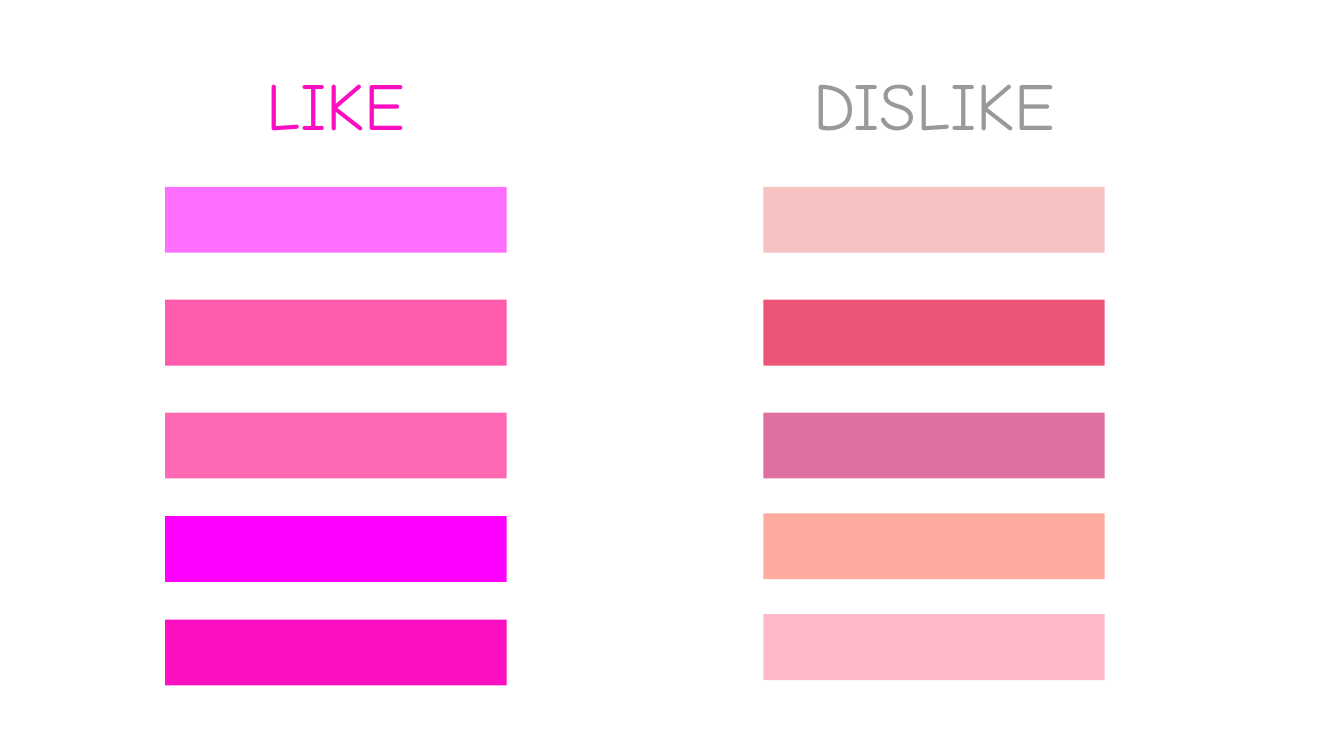
from pptx import Presentation
from pptx.dml.color import RGBColor
from pptx.enum.shapes import MSO_SHAPE
from pptx.enum.text import MSO_ANCHOR, PP_ALIGN
from pptx.util import Pt

RECT = MSO_SHAPE.RECTANGLE
TOP = MSO_ANCHOR.TOP
CENTER = PP_ALIGN.CENTER

PX = 4572
COLORS = {
    "LIKE": "FC0FC0",
    "DISLIKE": "999999",
    "like_swatches": ["FF6FFF", "FE5BAC", "FF69B4", "FF00FF", "FC0FC0"],
    "dislike_swatches": ["F5C3C2", "EC5578", "DE6FA1", "FDAB9F", "FDB9C8"],
}
FRAME = {"word_wrap": True, "vertical_anchor": TOP, "margin_left": 20 * PX,
         "margin_right": 20 * PX, "margin_top": 20 * PX, "margin_bottom": 20 * PX}
TITLE_FONT = {"name": "Comic Neue", "size": Pt(36)}
TITLE_H = 152
SWATCH_TOP = 204
SWATCH_H = 98
UPPER_PITCH = 168
UPPER_STEPS = 2


def set_attrs(obj, values):
    for name, value in values.items():
        setattr(obj, name, value)


def add_title(s, text, x, y, w, h):
    tf = s.shapes.add_textbox(x * PX, y * PX, w * PX, h * PX).text_frame
    set_attrs(tf, FRAME)
    p = tf.paragraphs[0]
    p.alignment = CENTER
    r = p.add_run()
    r.text = text
    set_attrs(r.font, TITLE_FONT)
    r.font.color.rgb = RGBColor.from_string(COLORS[text])


def add_swatch(s, color, x, y, w, h):
    sp = s.shapes.add_shape(RECT, x * PX, y * PX, w * PX, h * PX)
    sp.shadow.inherit = False
    sp.fill.solid()
    sp.fill.fore_color.rgb = RGBColor.from_string(color)
    sp.line.fill.background()


def add_palette(s, title, swatches, lower_pitch, x, y, w):
    add_title(s, title, x, y, w, TITLE_H)
    for i, color in enumerate(swatches):
        upper = min(i, UPPER_STEPS)
        offset = upper * UPPER_PITCH + (i - upper) * lower_pitch
        add_swatch(s, color, x, y + SWATCH_TOP + offset, w, SWATCH_H)


def main():
    prs = Presentation()
    set_attrs(prs, {"slide_width": 2000 * PX, "slide_height": 1125 * PX})
    s = prs.slides.add_slide(prs.slide_layouts[6])
    add_palette(s, "LIKE", COLORS["like_swatches"], 154, 246, 74, 508)
    add_palette(s, "DISLIKE", COLORS["dislike_swatches"], 150, 1136, 74, 508)
    prs.save("out.pptx")


if __name__ == "__main__":
    main()
